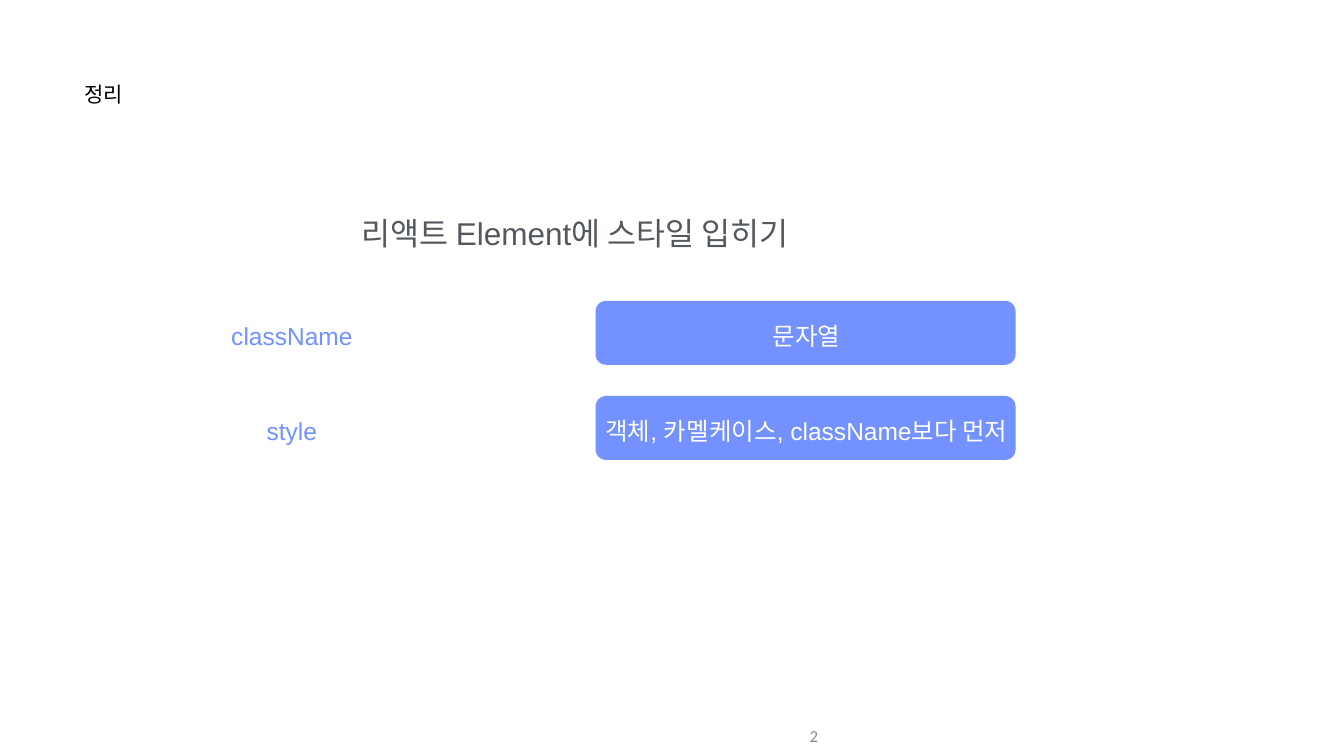
from pptx import Presentation
from pptx.dml.color import RGBColor
from pptx.enum.shapes import MSO_SHAPE
from pptx.enum.text import MSO_ANCHOR, PP_ALIGN
from pptx.util import Inches, Pt

ROUNDED = MSO_SHAPE.ROUNDED_RECTANGLE
TOP, MIDDLE = MSO_ANCHOR.TOP, MSO_ANCHOR.MIDDLE
LEFT, CENTER, RIGHT = PP_ALIGN.LEFT, PP_ALIGN.CENTER, PP_ALIGN.RIGHT

BLACK = RGBColor(0x00, 0x00, 0x00)
WHITE = RGBColor(0xFF, 0xFF, 0xFF)
SLATE = RGBColor(0x53, 0x58, 0x5F)
GREY = RGBColor(0x88, 0x88, 0x88)
BLUE = RGBColor(0x73, 0x91, 0xFF)

WIDTH, HEIGHT = Inches(26.66), Inches(15)
COLUMNS, ROWS = 32, 24


class SlideBuilder:
    """Holds the slide and its style; places elements on a 32 by 24 grid."""

    font_name = "Arial"
    corner = 0.164
    margins = (0.01, 0.01)

    def __init__(self, slide):
        self.slide = slide

    def place(self, column, row, columns, rows):
        across, down = WIDTH / COLUMNS, HEIGHT / ROWS
        return (round(column * across), round(row * down),
                round(columns * across), round(rows * down))

    def text(self, area, words, size, color, align=CENTER, anchor=MIDDLE,
             font_name=font_name, margins=margins):
        frame = self.slide.shapes.add_textbox(*self.place(*area)).text_frame
        side, edge = (Inches(margin) for margin in margins)
        frame_format = {"word_wrap": True, "vertical_anchor": anchor,
                        "margin_left": side, "margin_right": side,
                        "margin_top": edge, "margin_bottom": edge}
        for name, value in frame_format.items():
            setattr(frame, name, value)

        paragraph = frame.paragraphs[0]
        paragraph.alignment = align
        run = paragraph.add_run()
        run.text = words
        for name, value in {"name": font_name, "size": Pt(size)}.items():
            setattr(run.font, name, value)
        run.font.color.rgb = color

    def card(self, area, fill):
        shape = self.slide.shapes.add_shape(ROUNDED, *self.place(*area))
        shape.adjustments[0] = self.corner
        shape.shadow.inherit = False
        shape.fill.solid()
        shape.fill.fore_color.rgb = fill
        shape.line.fill.background()


def main():
    presentation = Presentation()
    presentation.slide_width, presentation.slide_height = WIDTH, HEIGHT
    blank = presentation.slide_layouts[6]
    builder = SlideBuilder(presentation.slides.add_slide(blank))

    # Section name and heading
    builder.text((2, 2.56, 5.83, 1.89), "정리", 30, BLACK, LEFT, TOP)
    builder.text((3.17, 6.78, 21.05, 1.26), "리액트 Element에 스타일 입히기",
                 45, SLATE, anchor=TOP)

    # Each property with its description on a card
    properties = [
        ("className", "문자열"),
        ("style", "객체, 카멜케이스, className보다 먼저"),
    ]
    for index, (label, description) in enumerate(properties):
        row = 9.55 + index * 3.02
        text_row = row + 0.61
        builder.card((14.18, row, 10, 2.03), BLUE)
        builder.text((3.2, text_row, 7.5, 1), label, 35, BLUE)
        builder.text((14.2, text_row, 10, 1), description, 35, WHITE)

    # Page number
    builder.text((12.4, 22.74, 7.2, 1.26), "2", 24, GREY, RIGHT,
                 font_name="Calibri", margins=(0.1, 0.05))

    presentation.save("out.pptx")


if __name__ == "__main__":
    main()
